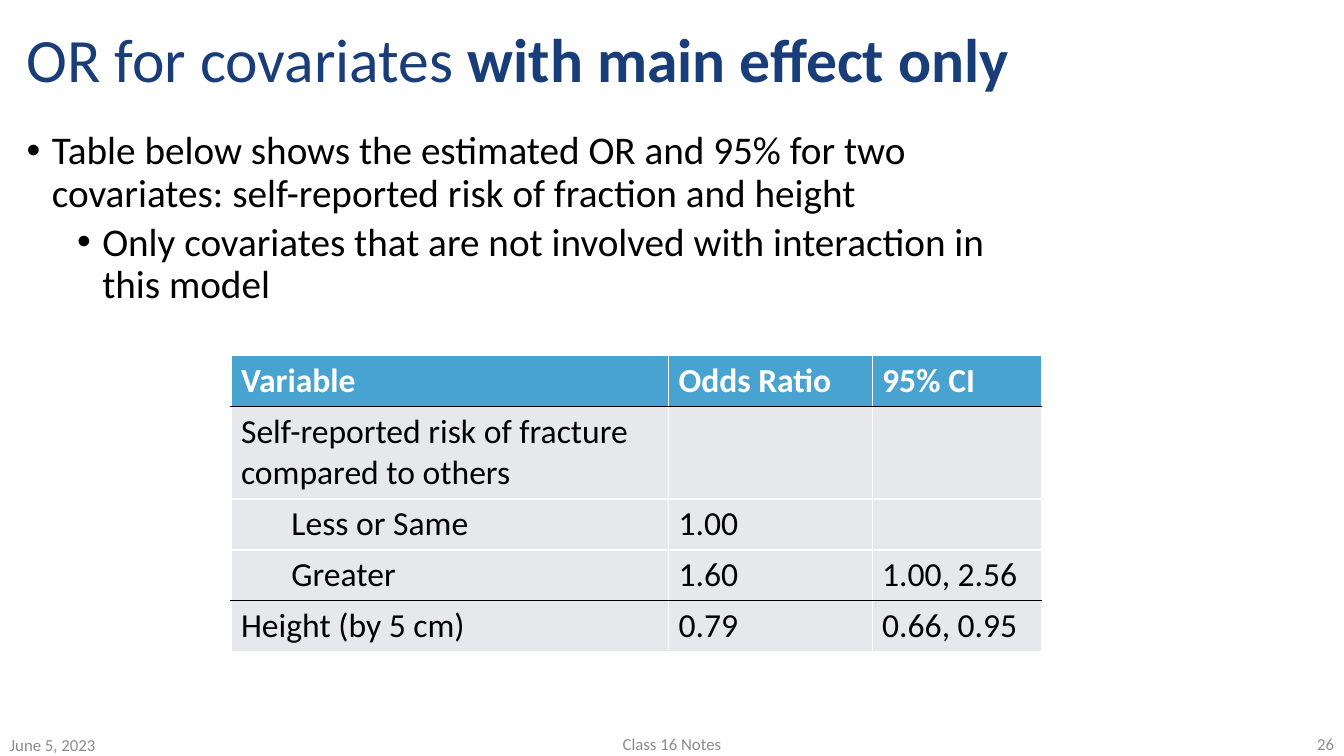
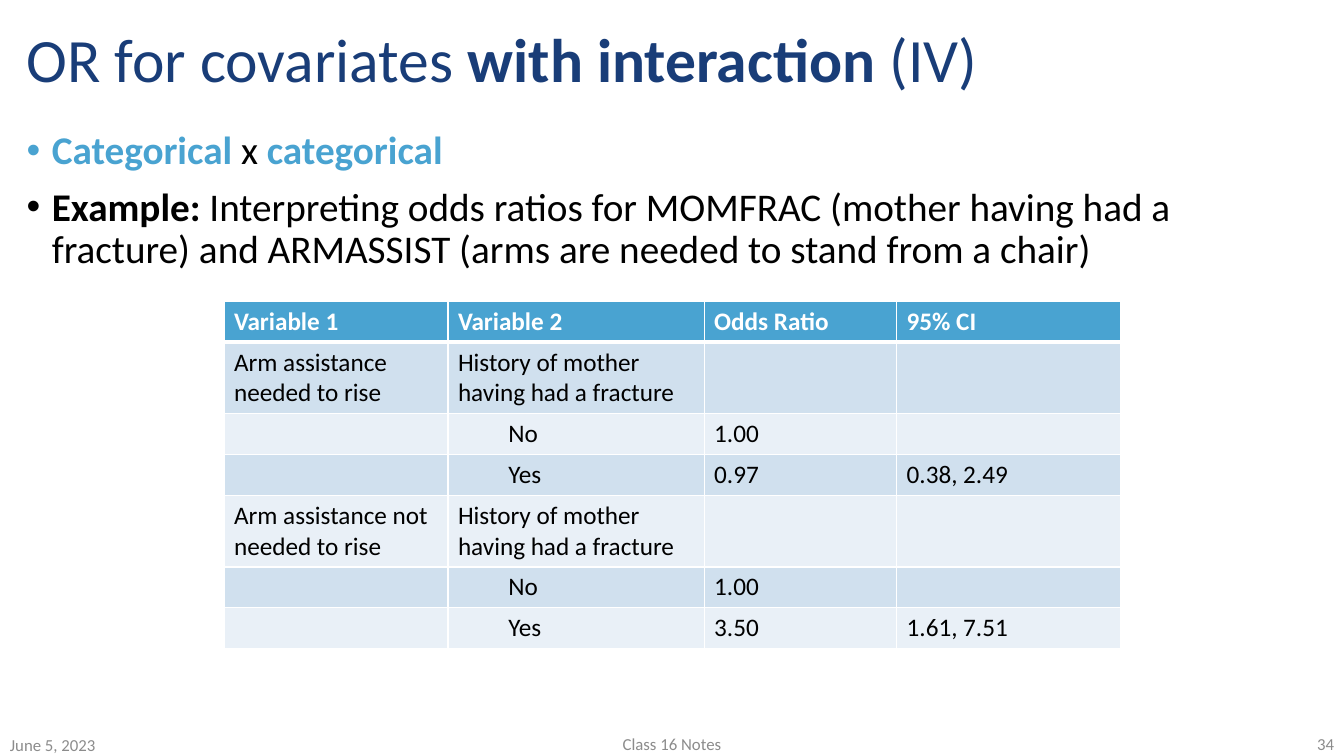
from itertools import accumulate

from lxml import etree
from pptx import Presentation
from pptx.dml.color import RGBColor
from pptx.enum import text as t
from pptx.oxml import ns
from pptx.util import Pt

COLORS = {
    "title": "193D78",
    "accent": "49A3D1",
    "text": "000000",
    "footer": "8C8C8C",
    "white": "FFFFFF",
    "gray": "E7E8EC",
    "band_dark": "D0E0EE",
    "band_light": "E9F0F7",
}
FONT = "Calibri"
PAGE_WIDTH, PAGE_HEIGHT = 960, 540
TITLE_BOX = (12, 11.5, 936, 66)
FOOTER_BOX = (0, 522, PAGE_WIDTH, 18)
INDENTED = {"Less or Same", "Greater", "No", "Yes"}


def rgb(name):
    return RGBColor.from_string(COLORS[name])


def write(para, content, size, color="text", bold=False, bold_color=None,
          align=None, indent=0, bullet=False, line=None, before=None):
    """Parts between double asterisks are bold."""
    props = para._p.get_or_add_pPr()
    if indent:
        props.set("marL", str(Pt(indent)))
        props.set("indent", str(Pt(-18 if bullet else 0)))
    if bullet:
        etree.SubElement(props, ns.qn("a:buFont")).set("typeface", "Arial")
        etree.SubElement(props, ns.qn("a:buChar")).set("char", "•")
    para.alignment = align
    para.line_spacing = line
    if before is not None:
        para.space_before = Pt(before)
    for number, part in enumerate(content.split("**")):
        if not part:
            continue
        strong = bold or number % 2 == 1
        span = para.add_run()
        span.text = part
        span.font.name = FONT
        span.font.size = Pt(size)
        span.font.bold = strong
        span.font.color.rgb = rgb(bold_color if strong and bold_color else color)


def add_frame(page, box, anchor=t.MSO_ANCHOR.TOP):
    frame = page.shapes.add_textbox(*map(Pt, box)).text_frame
    frame.word_wrap = True
    frame.vertical_anchor = anchor
    return frame


def add_title(page, box, content):
    frame = add_frame(page, box, t.MSO_ANCHOR.MIDDLE)
    write(frame.paragraphs[0], content, 44, color="title", line=0.9)


def add_body(page, box, items):
    frame = add_frame(page, box)
    for number, (content, style) in enumerate(items):
        para = frame.add_paragraph() if number else frame.paragraphs[0]
        level = style.get("level", 0)
        before = (5 if level else 10) if number else 0
        write(para, content, 28, bold_color=style.get("bold_color"), bullet=True,
              indent=18 + 36 * level, line=0.9, before=before)


def add_footer(page, box, number):
    left, top, width, height = box
    parts = [
        ("June 5, 2023", 0, 1.5, 216, t.PP_ALIGN.LEFT),
        ("Class 16 Notes", (width - 324) / 2, 0, 324, t.PP_ALIGN.CENTER),
        (str(number), width - 216, 0, 216, t.PP_ALIGN.RIGHT),
    ]
    for content, shift, drop, part_width, align in parts:
        part_box = (left + shift, top + drop, part_width, height - drop)
        frame = add_frame(page, part_box, t.MSO_ANCHOR.MIDDLE)
        frame.margin_top = frame.margin_bottom = 0
        write(frame.paragraphs[0], content, 12, color="footer", align=align)


def set_borders(cell, top, bottom):
    edges = {"L": ("white", 1), "R": ("white", 1), "T": top, "B": bottom}
    props = cell._tc.get_or_add_tcPr()
    for position, (side, (color, weight)) in enumerate(edges.items()):
        line = etree.Element(ns.qn(f"a:ln{side}"), w=str(Pt(weight)))
        fill = etree.SubElement(line, ns.qn("a:solidFill"))
        etree.SubElement(fill, ns.qn("a:srgbClr")).set("val", COLORS[color])
        props.insert(position, line)


def add_table(page, box, widths, heights, rows, size, bands, rules):
    left, top, width, height = box
    table = page.shapes.add_table(len(rows), len(widths), *map(Pt, box)).table
    table.first_row = table.horz_banding = False
    for column, column_width in zip(table.columns, widths):
        column.width = Pt(column_width)
    for row, row_height in zip(table.rows, heights):
        row.height = Pt(row_height)
    plain = ("white", 1)
    for r, labels in enumerate(rows):
        header = r == 0
        fill = "accent" if header else bands[(r - 1) % len(bands)]
        for c, label in enumerate(labels):
            cell = table.cell(r, c)
            cell.fill.solid()
            cell.fill.fore_color.rgb = rgb(fill)
            set_borders(cell, rules.get(r, plain), rules.get(r + 1, plain))
            if label:
                write(cell.text_frame.paragraphs[0], label, size, bold=header,
                      color="white" if header else "text",
                      indent=36 if label in INDENTED else 0)


def add_page(deck, number, title, body_width, items, table_at, widths, heights, **table):
    page = deck.slides.add_slide(deck.slide_layouts[6])
    add_title(page, TITLE_BOX, title)
    add_body(page, (12, 90, body_width, 426), items)
    add_footer(page, FOOTER_BOX, number)
    table_box = (*table_at, sum(widths), sum(heights))
    add_table(page, table_box, widths, heights, **table)


def main():
    deck = Presentation()
    deck.slide_width, deck.slide_height = Pt(PAGE_WIDTH), Pt(PAGE_HEIGHT)
    add_page(
        deck, 26, "OR for covariates **with main effect only**", 720,
        [
            ("Table below shows the estimated OR and 95% for two covariates: "
             "self-reported risk of fraction and height", {}),
            ("Only covariates that are not involved with interaction in this model",
             {"level": 1}),
        ],
        (165, 254.2), [312.5, 145.5, 121], [36.4, 65.8, 36.4, 36.4, 36.4],
        rows=[
            ["Variable", "Odds Ratio", "95% CI"],
            ["Self-reported risk of fracture compared to others", "", ""],
            ["Less or Same", "1.00", ""],
            ["Greater", "1.60", "1.00, 2.56"],
            ["Height (by 5 cm)", "0.79", "0.66, 0.95"],
        ],
        size=24, bands=["gray"], rules={1: ("text", 1), 4: ("text", 1)},
    )
    history = "History of mother having had a fracture"
    add_page(
        deck, 34, "OR for covariates **with interaction **(IV)", 848,
        [
            ("**Categorical** x **categorical**", {"bold_color": "accent"}),
            ("**Example: **Interpreting odds ratios for MOMFRAC (mother having had "
             "a fracture) and ARMASSIST (arms are needed to stand from a chair)", {}),
        ],
        (160, 215.2), [160, 183, 137.5, 160],
        [29.2, 51.1, 29.2, 29.2, 51.1, 29.2, 29.2],
        rows=[
            ["Variable 1", "Variable 2", "Odds Ratio", "95% CI"],
            ["Arm assistance needed to rise", history, "", ""],
            ["", "No", "1.00", ""],
            ["", "Yes", "0.97", "0.38, 2.49"],
            ["Arm assistance not needed to rise", history, "", ""],
            ["", "No", "1.00", ""],
            ["", "Yes", "3.50", "1.61, 7.51"],
        ],
        size=18, bands=["band_dark", "band_light"], rules={1: ("white", 3)},
    )
    deck.save("out.pptx")


if __name__ == "__main__":
    main()
